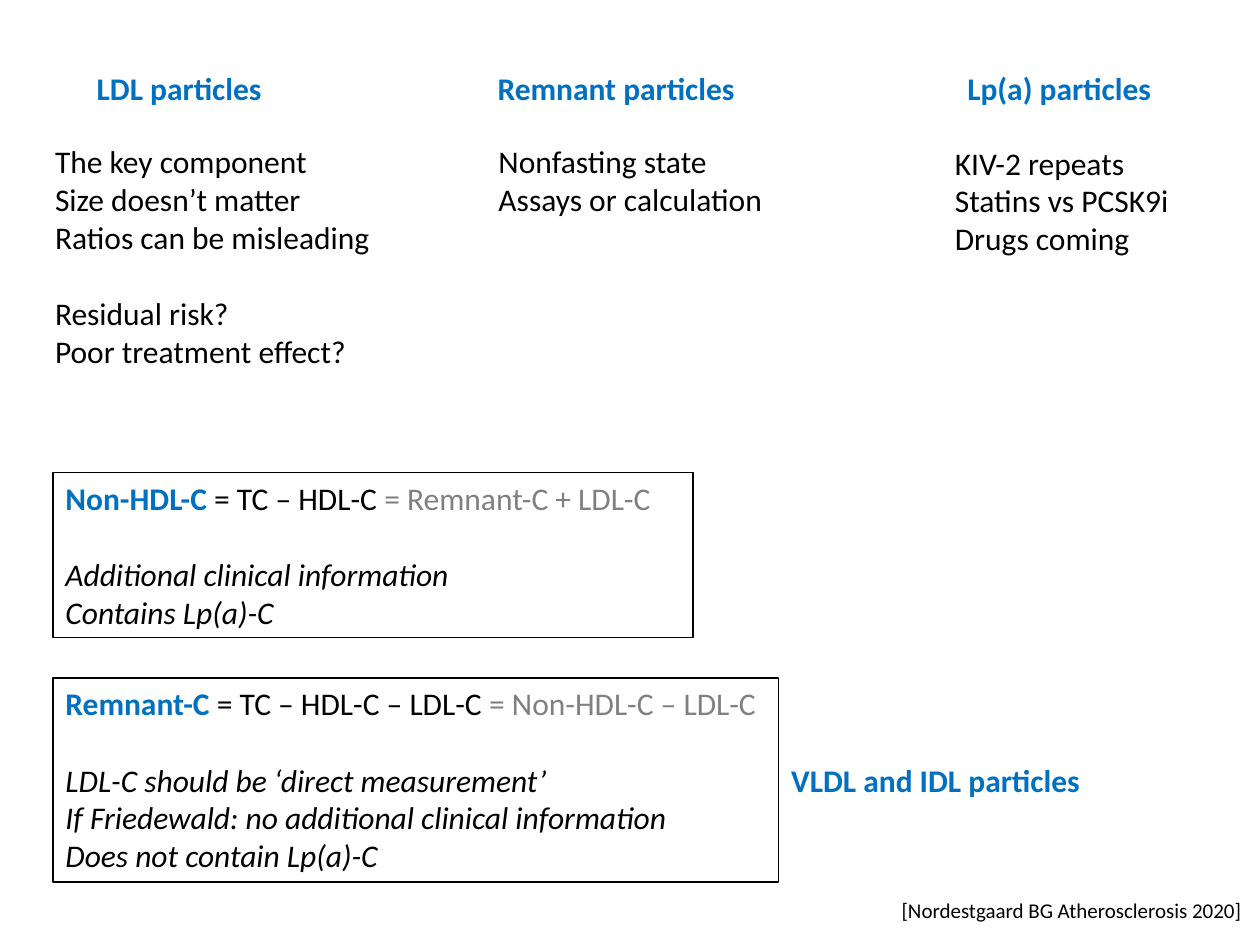
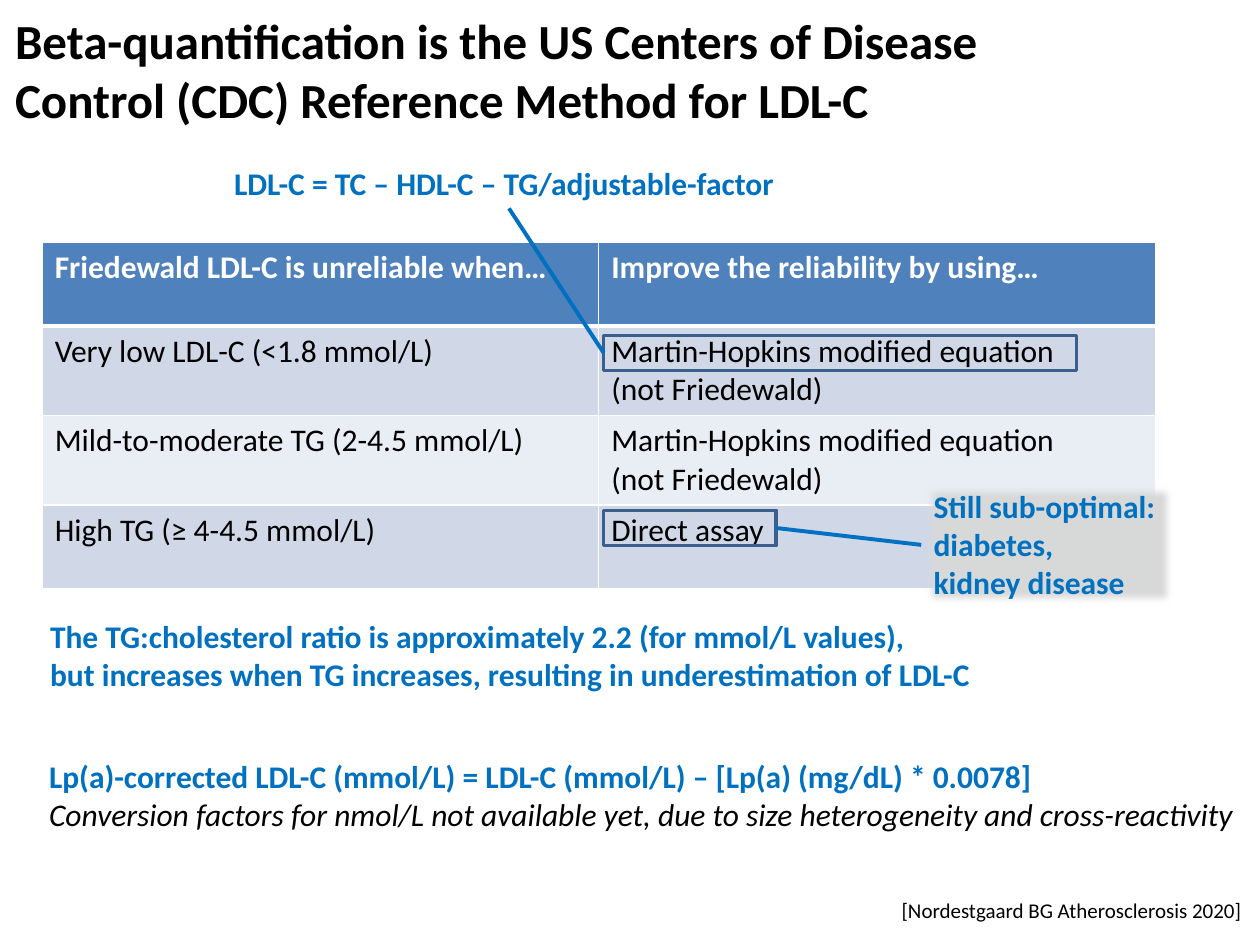
from dataclasses import dataclass

from lxml import etree
from pptx import Presentation
from pptx import util as u
from pptx.dml.color import RGBColor
from pptx.enum import shapes, text
from pptx.oxml import ns

COLORS = {
    "accent": "0070C0",
    "ink": "000000",
    "muted": "808080",
    "white": "FFFFFF",
    "header": "4F81BD",
    "band_dark": "D0D8E8",
    "band_light": "E9EDF4",
    "marker": "3A5F8C",
    "callout": "D9D9D9",
}
FONT = "Calibri"
BLANK_LINE = 22
CITATION = "[Nordestgaard BG Atherosclerosis 2020]"


@dataclass(frozen=True)
class Run:
    text: str
    color: str = "ink"
    bold: bool = False
    italic: bool = False


@dataclass(frozen=True)
class Line:
    runs: tuple[Run, ...]
    before: int = 0


@dataclass(frozen=True)
class Box:
    left: float
    top: float
    width: float
    height: float

    def lengths(self) -> tuple:
        return u.Cm(self.left), u.Cm(self.top), u.Cm(self.width), u.Cm(self.height)


@dataclass(frozen=True)
class Note:
    box: Box
    lines: tuple[Line, ...]


def line(content: str, before: int = 0, **style) -> Line:
    return Line((Run(content, **style),), before)


def lines(*contents: str, **style) -> tuple[Line, ...]:
    return tuple(line(content, **style) for content in contents)


def strong(*contents: str) -> tuple[Line, ...]:
    return lines(*contents, color="accent", bold=True)


def formula(name: str, definition: str, equivalent: str) -> Line:
    return Line((Run(name, "accent", True), Run(definition), Run(equivalent, "muted")))


def rgb(name: str) -> RGBColor:
    return RGBColor.from_string(COLORS[name])


def write(frame, content: tuple[Line, ...], size: int = 18,
          align=text.PP_ALIGN.LEFT) -> None:
    for index, entry in enumerate(content):
        paragraph = frame.add_paragraph() if index else frame.paragraphs[0]
        paragraph.alignment = align
        if entry.before:
            paragraph.space_before = u.Pt(entry.before)
        for part in entry.runs:
            run = paragraph.add_run()
            run.text = part.text
            run.font.name = FONT
            run.font.size = u.Pt(size)
            run.font.bold = part.bold
            run.font.italic = part.italic
            run.font.color.rgb = rgb(part.color)


def add_note(slide, note: Note):
    label = slide.shapes.add_textbox(*note.box.lengths())
    label.text_frame.word_wrap = False
    label.text_frame.auto_size = text.MSO_AUTO_SIZE.SHAPE_TO_FIT_TEXT
    write(label.text_frame, note.lines)
    return label


def add_panel(slide, box: Box, content: tuple[Line, ...] = (),
              fill: str = "", outline: str = "", weight: float = 0.75):
    panel = slide.shapes.add_shape(shapes.MSO_SHAPE.RECTANGLE, *box.lengths())
    panel.shadow.inherit = False
    if fill:
        panel.fill.solid()
        panel.fill.fore_color.rgb = rgb(fill)
    else:
        panel.fill.background()
    if outline:
        panel.line.color.rgb = rgb(outline)
        panel.line.width = u.Pt(weight)
    else:
        panel.line.fill.background()
    if content:
        panel.text_frame.word_wrap = True
        panel.text_frame.vertical_anchor = text.MSO_ANCHOR.TOP
        write(panel.text_frame, content)
    return panel


def soften_edge(panel, radius: float) -> None:
    effects = panel.element.spPr.find(ns.qn("a:effectLst"))
    edge = etree.SubElement(effects, ns.qn("a:softEdge"))
    edge.set("rad", str(u.Pt(radius)))


def link(slide, start, start_side: int, end, end_side: int) -> None:
    pointer = slide.shapes.add_connector(shapes.MSO_CONNECTOR.STRAIGHT, 0, 0, 0, 0)
    pointer.begin_connect(start, start_side)
    pointer.end_connect(end, end_side)
    pointer.line.color.rgb = rgb("accent")
    pointer.line.width = u.Pt(2.25)
    etree.SubElement(pointer.element.spPr, ns.qn("a:effectLst"))


def add_citation(slide) -> None:
    footer = slide.shapes.add_textbox(*Box(12.5, 17.96, 12.78, 0.77).lengths())
    footer.text_frame.word_wrap = True
    write(footer.text_frame, lines(CITATION), size=12, align=text.PP_ALIGN.RIGHT)


def set_borders(cell, bottom: float) -> None:
    properties = cell._tc.get_or_add_tcPr()
    for index, (side, weight) in enumerate(
            (("L", 1), ("R", 1), ("T", 1), ("B", bottom))):
        border = etree.Element(ns.qn(f"a:ln{side}"), w=str(u.Pt(weight)))
        fill = etree.SubElement(border, ns.qn("a:solidFill"))
        etree.SubElement(fill, ns.qn("a:srgbClr"), val=COLORS["white"])
        properties.insert(index, border)


def add_reliability_table(slide) -> None:
    modified = ("Martin-Hopkins modified equation", "(not Friedewald)")
    rows = (
        (("Friedewald LDL-C is unreliable when…",),
         ("Improve the reliability by using…",)),
        (("Very low LDL-C (<1.8 mmol/L)",), modified),
        (("Mild-to-moderate TG (2-4.5 mmol/L)",), modified),
        (("High TG (≥ 4-4.5 mmol/L)",), ("Direct assay",)),
    )
    fills = ("header", "band_dark", "band_light", "band_dark")
    area = Box(0.85, 4.89, 22.44, 6.72)
    table = slide.shapes.add_table(len(rows), 2, *area.lengths()).table
    for column in table.columns:
        column.width = u.Cm(area.width / 2)
    for index, (row, fill) in enumerate(zip(rows, fills)):
        heading = index == 0
        table.rows[index].height = u.Cm(1.68)
        for position, content in enumerate(row):
            cell = table.cell(index, position)
            cell.fill.solid()
            cell.fill.fore_color.rgb = rgb(fill)
            set_borders(cell, 3 if heading else 1)
            write(cell.text_frame, lines(
                *content, color="white" if heading else "ink", bold=heading))


def build_particles(deck) -> None:
    slide = deck.slides.add_slide(deck.slide_layouts[6])
    notes = (
        Note(Box(1.7, 1.27, 3.86, 1.02), strong("LDL particles")),
        Note(Box(9.78, 1.27, 5.33, 1.02), strong("Remnant particles")),
        Note(Box(19.25, 1.27, 4.24, 1.02), strong("Lp(a) particles")),
        Note(Box(0.86, 2.74, 6.93, 4.88), (
            *lines("The key component", "Size doesn’t matter",
                   "Ratios can be misleading"),
            line("Residual risk?", BLANK_LINE),
            line("Poor treatment effect?"))),
        Note(Box(9.8, 2.74, 5.89, 1.8),
             lines("Nonfasting state", "Assays or calculation")),
        Note(Box(19, 2.77, 4.88, 2.57),
             lines("KIV-2 repeats", "Statins vs PCSK9i", "Drugs coming")),
        Note(Box(15.7, 15.21, 6.4, 1.02), strong("VLDL and IDL particles")),
    )
    for note in notes:
        add_note(slide, note)
    definitions = (
        Note(Box(1.07, 9.53, 12.9, 3.33), (
            formula("Non-HDL-C", " = TC – HDL-C ", "= Remnant-C + LDL-C"),
            line("Additional clinical information", BLANK_LINE, italic=True),
            line("Contains Lp(a)-C", italic=True))),
        Note(Box(1.07, 13.67, 14.63, 4.11), (
            formula("Remnant-C", " = TC – HDL-C – LDL-C ", "= Non-HDL-C – LDL-C"),
            line("LDL-C should be ‘direct measurement’", BLANK_LINE, italic=True),
            *lines("If Friedewald: no additional clinical information",
                   "Does not contain Lp(a)-C", italic=True))),
    )
    for definition in definitions:
        add_panel(slide, definition.box, definition.lines, outline="ink")
    add_citation(slide)


def build_reference_method(deck) -> None:
    slide = deck.slides.add_slide(deck.slide_layouts[5])
    title = slide.shapes.title
    title.left, title.top, title.width, title.height = Box(
        0.05, 0.08, 20.4, 2.64).lengths()
    title.text_frame.word_wrap = True
    title.text_frame.auto_size = text.MSO_AUTO_SIZE.NONE
    title.text_frame.vertical_anchor = text.MSO_ANCHOR.TOP
    write(title.text_frame, lines(
        "Beta-quantification is the US Centers of Disease",
        "Control (CDC) Reference Method for LDL-C", bold=True), size=28)

    add_reliability_table(slide)
    equation = add_note(slide, Note(
        Box(4.47, 3.18, 11.58, 1.02),
        strong("LDL-C = TC – HDL-C – TG/adjustable-factor")))
    add_note(slide, Note(Box(0.76, 12.32, 19.25, 1.8), strong(
        "The TG:cholesterol ratio is approximately 2.2 (for mmol/L values),",
        "but increases when TG increases, resulting in underestimation of LDL-C")))
    add_note(slide, Note(Box(0.74, 15.14, 24.64, 1.8), (
        *strong("Lp(a)-corrected LDL-C (mmol/L) = LDL-C (mmol/L) – "
                "[Lp(a) (mg/dL) * 0.0078]"),
        line("Conversion factors for nmol/L not available yet, due to size "
             "heterogeneity and cross-reactivity", italic=True))))

    modified_equation, direct_assay = (
        add_panel(slide, Box(12.17, top, width, 0.71), outline="marker", weight=2)
        for top, width in ((6.76, 9.53), (10.29, 3.48)))
    limitation = add_panel(
        slide, Box(18.57, 9.7, 5.16, 2.57),
        strong("Still sub-optimal:", "diabetes,", "kidney disease"), fill="callout")
    soften_edge(limitation, 5)
    link(slide, modified_equation, 1, equation, 2)
    link(slide, direct_assay, 3, limitation, 1)
    add_citation(slide)


def main() -> None:
    deck = Presentation()
    deck.slide_width, deck.slide_height = u.Cm(25.4), u.Cm(19.05)
    build_particles(deck)
    build_reference_method(deck)
    deck.save("out.pptx")


if __name__ == "__main__":
    main()
